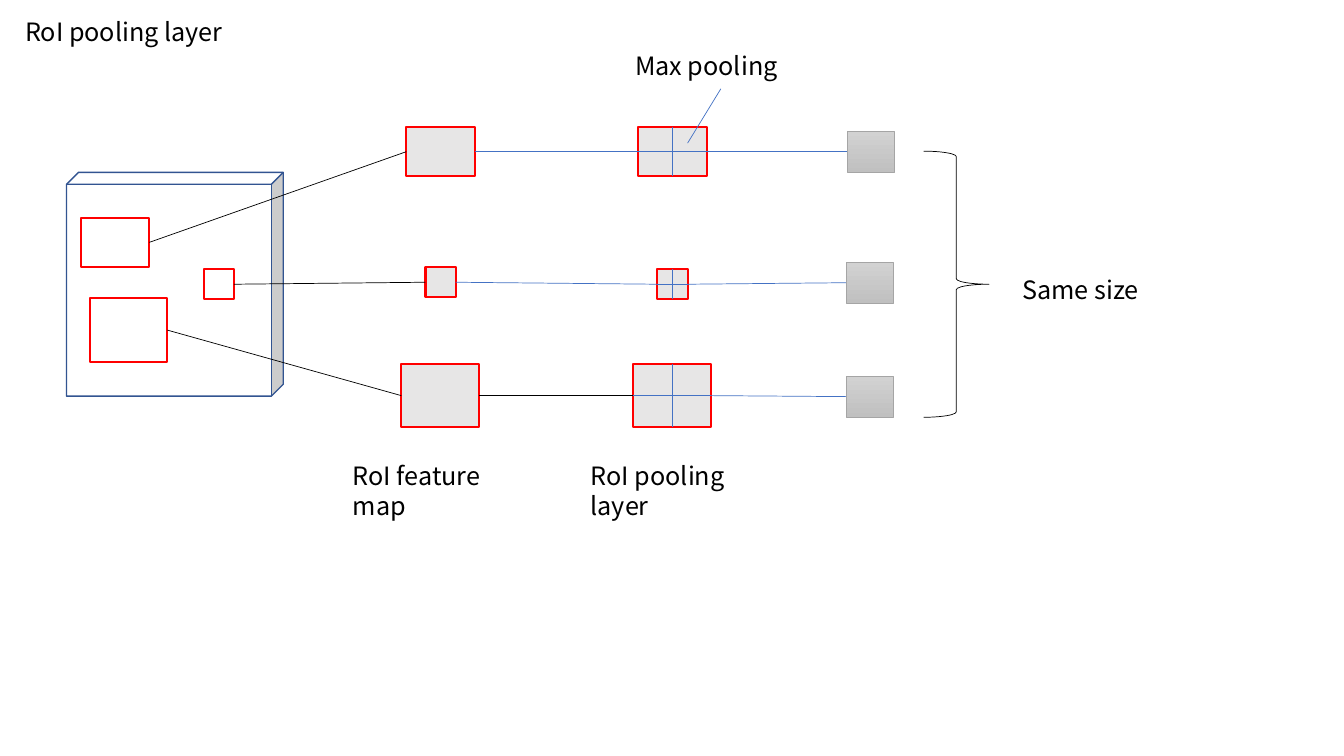
from collections import namedtuple
from pptx import Presentation
from pptx.dml.color import RGBColor
from pptx.enum.shapes import MSO_CONNECTOR as Connector, MSO_SHAPE as Preset
from pptx.enum.text import MSO_AUTO_SIZE as AutoSize
from pptx.oxml import parse_xml
from pptx.oxml.ns import nsdecls
from pptx.util import Inches, Pt

BLACK = RGBColor(0x00, 0x00, 0x00)
WHITE = RGBColor(0xFF, 0xFF, 0xFF)
RED = RGBColor(0xFF, 0x00, 0x00)
BLUE = RGBColor(0x44, 0x72, 0xC4)
NAVY = RGBColor(0x32, 0x54, 0x91)
PALE = RGBColor(0xE7, 0xE6, 0xE6)
GRAY = RGBColor(0xA5, 0xA5, 0xA5)
GRADIENT = [RGBColor(0xD2, 0xD2, 0xD2), RGBColor(0xC0, 0xC0, 0xC0)]

Region = namedtuple("Region", "size source feature pooled output feature_link")
REGIONS = (
    Region((6.8, 4.9), (11.4, 24.05), (43.7, 15.05), (66.7, 15.05), (86.35, 15.05), BLUE),
    Region((3, 3), (21.7, 28.2), (43.7, 28), (66.7, 28.2), (86.25, 28.05), BLUE),
    Region((7.7, 6.3), (12.75, 32.75), (43.65, 39.25), (66.65, 39.25), (86.25, 39.35), BLACK),
)
OUTPUT_SIZE = (4.7, 4.1)
LABELS = (
    ("RoI pooling layer", 1.5, 1.1, 21.9),
    ("Max pooling", 62, 4.5, 21.3),
    ("Same size", 100.4, 26.7, 19.5),
    ("RoI feature map", 34, 45.2, 19.4),
    ("RoI pooling layer", 57.6, 45.2, 21.1),
)


class DiagramSlide:
    """Draw diagram elements on one slide, in grid cells of a tenth of an inch."""

    cell = Inches(0.1)
    label_height = 4
    font_format = {"name": "Noto Sans CJK SC", "size": Pt(18)}
    frame_format = {"word_wrap": True, "auto_size": AutoSize.SHAPE_TO_FIT_TEXT}

    def __init__(self, presentation):
        self.slide = presentation.slides.add_slide(presentation.slide_layouts[6])

    def lengths(self, *cells):
        return [round(value * self.cell) for value in cells]

    def apply(self, target, values):
        for name, value in values.items():
            setattr(target, name, value)

    def outline(self, line, color, width):
        line.color.rgb = color
        line.width = Pt(width)

    def shape(self, preset, left, top, width, height, fill, color, weight):
        bounds = self.lengths(left, top, width, height)
        shape = self.slide.shapes.add_shape(preset, *bounds)
        shape.shadow.inherit = False
        if fill is None:
            shape.fill.background()
        elif isinstance(fill, list):
            shape.fill.gradient()
            shape.fill.gradient_angle = 270
            for stop, stop_color in zip(shape.fill.gradient_stops, fill):
                stop.color.rgb = stop_color
        else:
            shape.fill.solid()
            shape.fill.fore_color.rgb = fill
        self.outline(shape.line, color, weight)
        return shape

    def box(self, center, size, fill, color=RED, weight=1.5):
        (x, y), (width, height) = center, size
        self.shape(Preset.RECTANGLE, x - width / 2, y - height / 2,
                   width, height, fill, color, weight)

    def line(self, start, end, color=BLUE):
        ends = self.lengths(*start, *end)
        connector = self.slide.shapes.add_connector(Connector.STRAIGHT, *ends)
        self.outline(connector.line, color, 0.5)
        properties = connector._element.spPr
        properties.append(parse_xml(f"<a:effectLst {nsdecls('a')}/>"))

    def link(self, start, start_width, end, end_width, color):
        self.line((start[0] + start_width / 2, start[1]),
                  (end[0] - end_width / 2, end[1]), color)

    def cross(self, center, size):
        (x, y), (width, height) = center, size
        self.line((x - width / 2, y), (x + width / 2, y))
        self.line((x, y - height / 2), (x, y + height / 2))

    def label(self, text, left, top, width):
        bounds = self.lengths(left, top, width, self.label_height)
        frame = self.slide.shapes.add_textbox(*bounds).text_frame
        self.apply(frame, self.frame_format)
        run = frame.paragraphs[0].add_run()
        run.text = text
        self.apply(run.font, self.font_format)
        run.font.color.rgb = BLACK

    def region(self, region):
        width = region.size[0]
        self.box(region.source, region.size, WHITE)
        self.box(region.feature, region.size, PALE)
        self.box(region.pooled, region.size, PALE)
        self.cross(region.pooled, region.size)
        self.box(region.output, OUTPUT_SIZE, GRADIENT, GRAY, 0.5)
        self.link(region.source, width, region.feature, width, BLACK)
        self.link(region.feature, width, region.pooled, width, region.feature_link)
        self.link(region.pooled, width, region.output, OUTPUT_SIZE[0], BLUE)


def main():
    presentation = Presentation()
    presentation.slide_width = Inches(13.33)
    presentation.slide_height = Inches(7.5)
    diagram = DiagramSlide(presentation)
    cube = diagram.shape(Preset.CUBE, 6.6, 17.1, 21.5, 22.2, WHITE, NAVY, 1)
    cube.adjustments[0] = 0.055
    for region in REGIONS:
        diagram.region(region)
    diagram.line((68.2, 14.2), (71.5, 8.8))
    diagram.shape(Preset.RIGHT_BRACE, 91.6, 15, 6.5, 26.4, None, BLACK, 0.5)
    for label in LABELS:
        diagram.label(*label)
    presentation.save("out.pptx")


if __name__ == "__main__":
    main()
